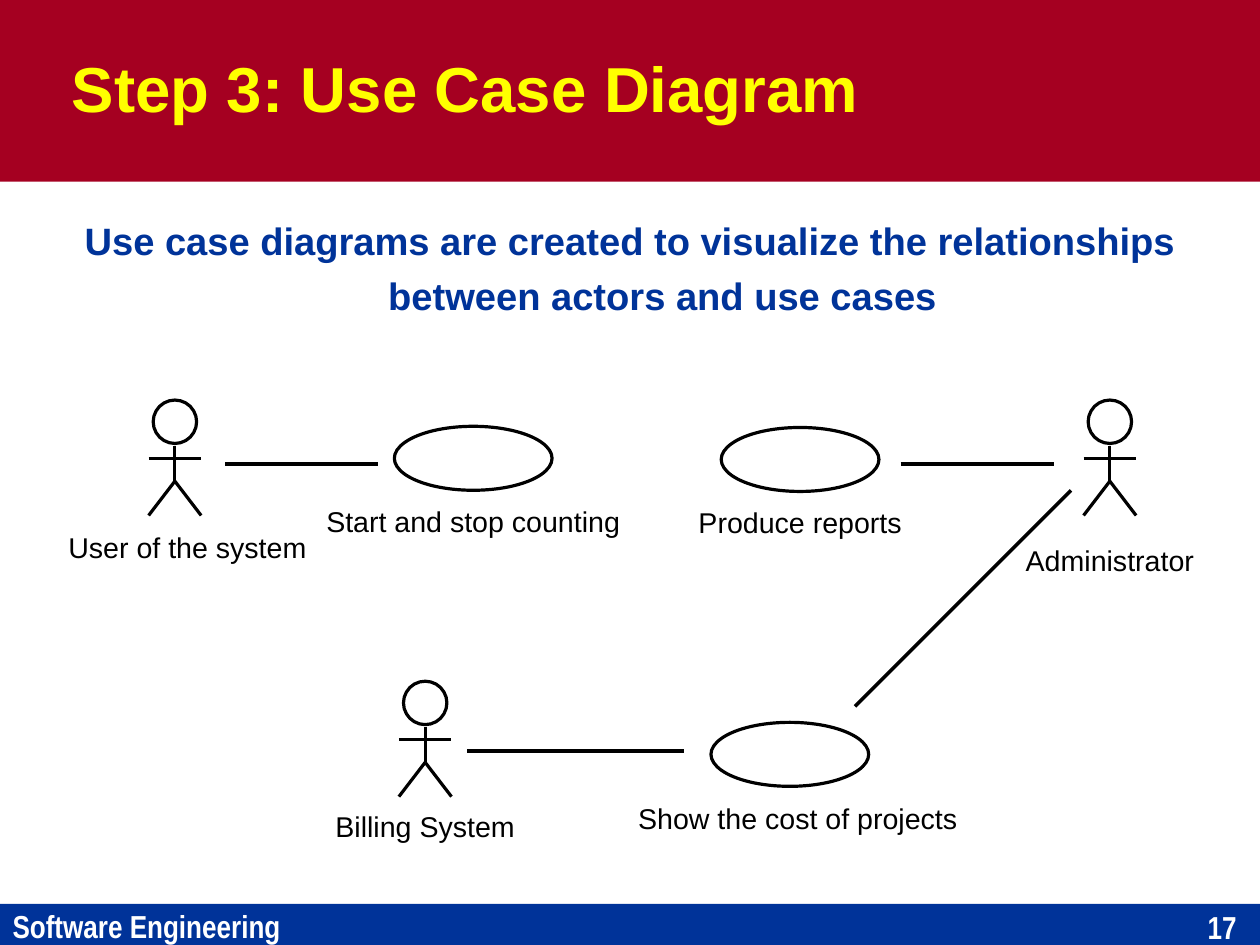
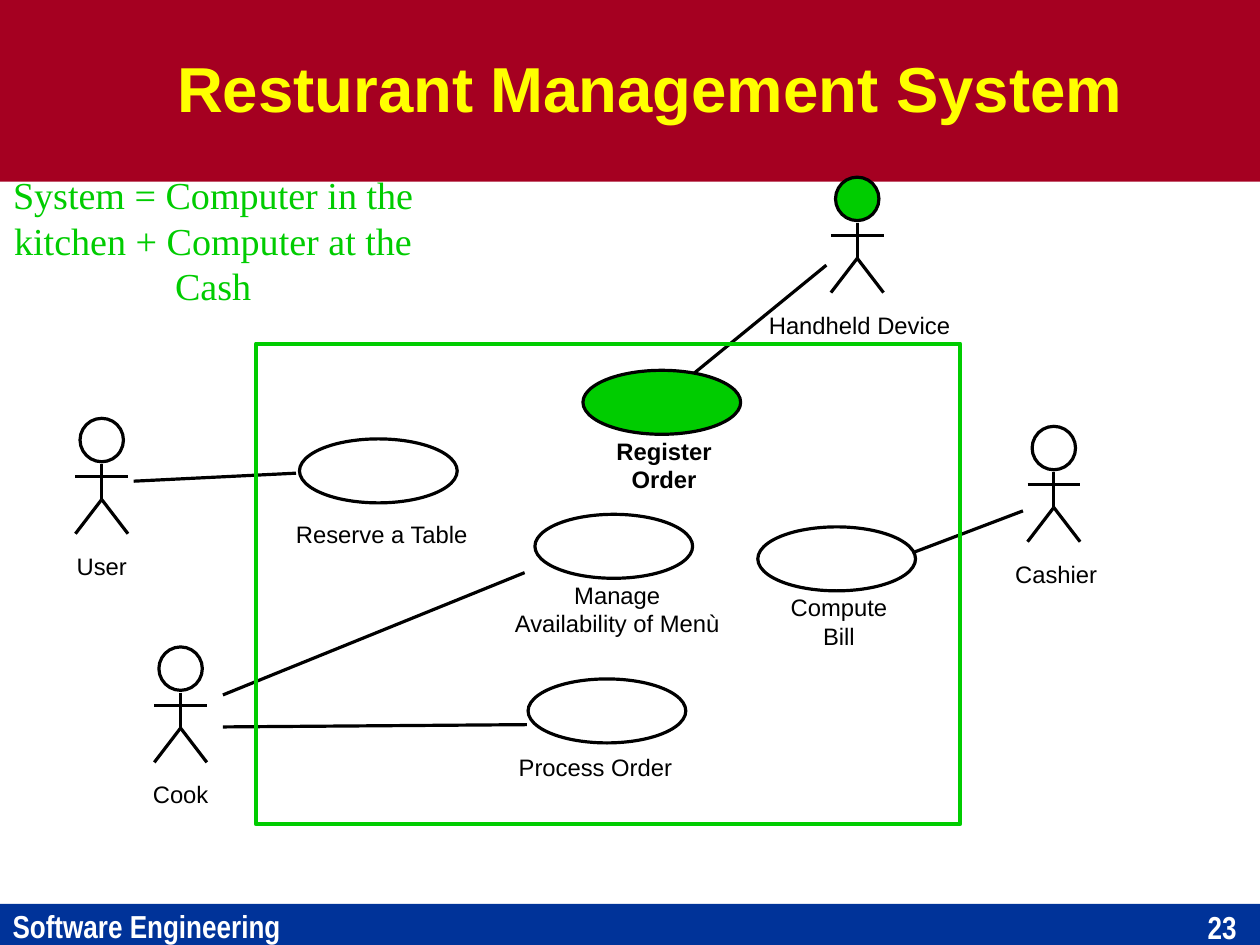
from lxml.etree import SubElement
from pptx import Presentation
from pptx.dml.color import RGBColor
from pptx.enum.shapes import MSO_CONNECTOR as Connector, MSO_SHAPE as Shape
from pptx.enum.text import MSO_ANCHOR as Anchor, PP_ALIGN as Align
from pptx.oxml.ns import qn
from pptx.util import Cm, Inches, Pt

SLIDE_WIDTH, SLIDE_HEIGHT = Cm(28), Cm(21)
WIDTH, HEIGHT = SLIDE_WIDTH.inches, SLIDE_HEIGHT.inches
TITLE_BAND, FOOTER_BAND = 1.59, 0.36
RED, BLUE, YELLOW, GREEN = "A50021", "003399", "FFFF00", "00CC00"
BLACK, WHITE = "000000", "FFFFFF"
FOOTER = "Software Engineering"

TITLE_FORMAT = dict(size=40, color=YELLOW, bold=True, anchor=Anchor.MIDDLE, margins=(0, 0))
FOOTER_FORMAT = dict(size=20, color=WHITE, bold=True, font="Arial Narrow")
STATEMENT_FORMAT = dict(size=24, color=BLUE, bold=True, align=Align.CENTER,
                        margins=(0.1, 0.05), space_before=16.5, line_spacing=1.2, hanging=0.57)
NOTE_FORMAT = dict(size=24, color=GREEN, font="Times New Roman", align=Align.CENTER,
                   margins=(0.1, 0.05), space_before=15)

HEAD, ARM, NECK, SHOULDER, HIP, FOOT = 0.38, 0.23, 0.4, 0.51, 0.71, 1.01
CASE_WIDTH, CASE_HEIGHT = 1.38, 0.56
ACTOR_LABEL, CASE_LABEL = 1.29, 0.83

SLIDES = [
    dict(
        title="Step 3: Use Case Diagram", title_left=0.63, number="17",
        label_size=18, link_width=2.25,
        texts=[("Use case diagrams are created to visualize the relationships "
                "between actors and use cases", (0.55, 1.77, 9.92, 1.5), STATEMENT_FORMAT)],
        actors=[
            dict(center=1.53, top=3.5, label="User of the system", shift=(0.11, 0)),
            dict(center=9.71, top=3.5, label="Administrator", shift=(0, 0.11)),
            dict(center=3.72, top=5.96, label="Billing System", shift=(0, -0.02)),
        ],
        cases=[
            dict(center=4.14, top=3.73, label="Start and stop counting"),
            dict(center=7.0, top=3.74, label="Produce reports"),
            dict(center=6.91, top=6.32, label="Show the cost of projects", shift=(0.07, 0.01)),
        ],
        links=[(1.97, 4.06, 3.31, 4.06), (7.88, 4.06, 9.22, 4.06),
               (4.09, 6.57, 5.98, 6.57), (7.48, 6.18, 9.37, 4.29)],
    ),
    dict(
        title="Resturant Management System", title_left=1.55, number="23",
        label_size=15, link_width=2,
        texts=[("System = Computer in the kitchen + Computer at the Cash",
                (-0.04, 1.45, 3.81, 1.3), NOTE_FORMAT)],
        actors=[
            dict(center=7.5, top=1.55, label="Handheld Device", shift=(0.02, 0), fill=GREEN),
            dict(center=9.22, top=3.73, label="Cashier", shift=(0.02, 0)),
            dict(center=1.58, top=5.66, label="Cook"),
            dict(center=0.89, top=3.66, label="User"),
        ],
        cases=[
            dict(center=7.32, top=4.61, label="Compute\nBill", shift=(0.02, 0)),
            dict(center=5.37, top=4.5, label="Manage\nAvailability of Menù", shift=(0.03, 0)),
            dict(center=5.79, top=3.24, label="Register\nOrder", shift=(0.02, 0),
                 fill=GREEN, bold=True),
            dict(center=5.31, top=5.94, label="Process Order", shift=(-0.1, -0.06)),
            dict(center=3.31, top=3.84, label="Reserve a Table", shift=(0.03, 0)),
        ],
        links=[(6.03, 3.3, 7.23, 2.32), (4.61, 6.34, 1.95, 6.36), (1.95, 6.08, 4.59, 5.01),
               (8.95, 4.47, 8.0, 4.83), (2.59, 4.14, 1.17, 4.21)],
        boundary=(2.24, 3.01, 6.16, 4.2),
    ),
]


def rgb(color):
    return RGBColor.from_string(color)


def add_text(shapes, text, box, size, color=BLACK, font="Arial", bold=False, align=Align.LEFT,
             anchor=Anchor.TOP, margins=(0.11, 0.05), wrap=True, space_before=0,
             line_spacing=1.0, hanging=0):
    frame = shapes.add_textbox(*map(Inches, box)).text_frame
    across, down = map(Inches, margins)
    frame_format = dict(word_wrap=wrap, vertical_anchor=anchor, margin_left=across,
                        margin_right=across, margin_top=down, margin_bottom=down)
    for name, value in frame_format.items():
        setattr(frame, name, value)
    frame.text = text
    for paragraph in frame.paragraphs:
        paragraph_format = dict(alignment=align, space_before=Pt(space_before),
                                line_spacing=line_spacing)
        for name, value in paragraph_format.items():
            setattr(paragraph, name, value)
        if hanging:
            properties = paragraph._p.get_or_add_pPr()
            properties.set("marL", str(Inches(hanging)))
            properties.set("indent", str(-Inches(hanging)))
        for name, value in dict(name=font, size=Pt(size), bold=bold).items():
            setattr(paragraph.runs[0].font, name, value)
        paragraph.runs[0].font.color.rgb = rgb(color)


def add_box(shapes, kind, box, fill=None, line=None, line_width=2):
    shape = shapes.add_shape(kind, *map(Inches, box))
    shape.shadow.inherit = False
    if fill:
        shape.fill.solid()
        shape.fill.fore_color.rgb = rgb(fill)
    else:
        shape.fill.background()
    if line:
        shape.line.color.rgb = rgb(line)
        shape.line.width = Pt(line_width)
    else:
        shape.line.fill.background()


def add_line(shapes, ends, width=2):
    connector = shapes.add_connector(Connector.STRAIGHT, *map(Inches, ends))
    connector.line.color.rgb = rgb(BLACK)
    connector.line.width = Pt(width)
    SubElement(connector._element.spPr, qn("a:effectLst"))


def add_label(shapes, item, drop, size):
    rows = item["label"].split("\n")
    across, down = item.get("shift", (0, 0))
    width = max(map(len, rows)) * size / 140 + 0.4
    height = len(rows) * size / 60 + 0.1
    box = (item["center"] + across - width / 2, item["top"] + drop + down - height / 2,
           width, height)
    add_text(shapes, item["label"], box, size, bold=item.get("bold", False),
             align=Align.CENTER, anchor=Anchor.MIDDLE, wrap=False)


def add_actor(slide, actor, size):
    shapes = slide.shapes.add_group_shape().shapes
    center, top = actor["center"], actor["top"]
    add_box(shapes, Shape.OVAL, (center - HEAD / 2, top, HEAD, HEAD), actor.get("fill"), BLACK)
    limbs = [(0, NECK, 0, HIP), (-ARM, SHOULDER, ARM, SHOULDER),
             (0, HIP, -ARM, FOOT), (0, HIP, ARM, FOOT)]
    for x1, y1, x2, y2 in limbs:
        add_line(shapes, (center + x1, top + y1, center + x2, top + y2))
    add_label(shapes, actor, ACTOR_LABEL, size)


def add_case(slide, case, size):
    shapes = slide.shapes.add_group_shape().shapes
    box = (case["center"] - CASE_WIDTH / 2, case["top"], CASE_WIDTH, CASE_HEIGHT)
    add_box(shapes, Shape.OVAL, box, case.get("fill"), BLACK)
    add_label(shapes, case, CASE_LABEL, size)


def add_frame(slide, content):
    shapes = slide.shapes
    add_box(shapes, Shape.RECTANGLE, (0, HEIGHT - FOOTER_BAND, WIDTH, FOOTER_BAND), BLUE)
    add_box(shapes, Shape.RECTANGLE, (0, 0, WIDTH, TITLE_BAND), RED)
    add_text(shapes, FOOTER, (0, 7.87, 2.57, 0.44), margins=(0.11, 0.06), wrap=False,
             **FOOTER_FORMAT)
    add_text(shapes, content["number"], (10.2, 7.93, 0.73, 0.37), margins=(0.11, 0.01),
             align=Align.RIGHT, **FOOTER_FORMAT)
    left = content["title_left"]
    add_text(shapes, content["title"], (left, 0.21, WIDTH - left - 0.5, 1.1), **TITLE_FORMAT)


def add_diagram(slide, content):
    for text, box, text_format in content["texts"]:
        add_text(slide.shapes, text, box, **text_format)
    for ends in content["links"]:
        add_line(slide.shapes, ends, content["link_width"])
    for add_item, items in ((add_actor, content["actors"]), (add_case, content["cases"])):
        for item in items:
            add_item(slide, item, content["label_size"])
    if "boundary" in content:
        add_box(slide.shapes, Shape.RECTANGLE, content["boundary"], line=GREEN, line_width=3)


def main():
    presentation = Presentation()
    presentation.slide_width, presentation.slide_height = SLIDE_WIDTH, SLIDE_HEIGHT
    for content in SLIDES:
        slide = presentation.slides.add_slide(presentation.slide_layouts[6])
        add_frame(slide, content)
        add_diagram(slide, content)
    presentation.save("out.pptx")


if __name__ == "__main__":
    main()
